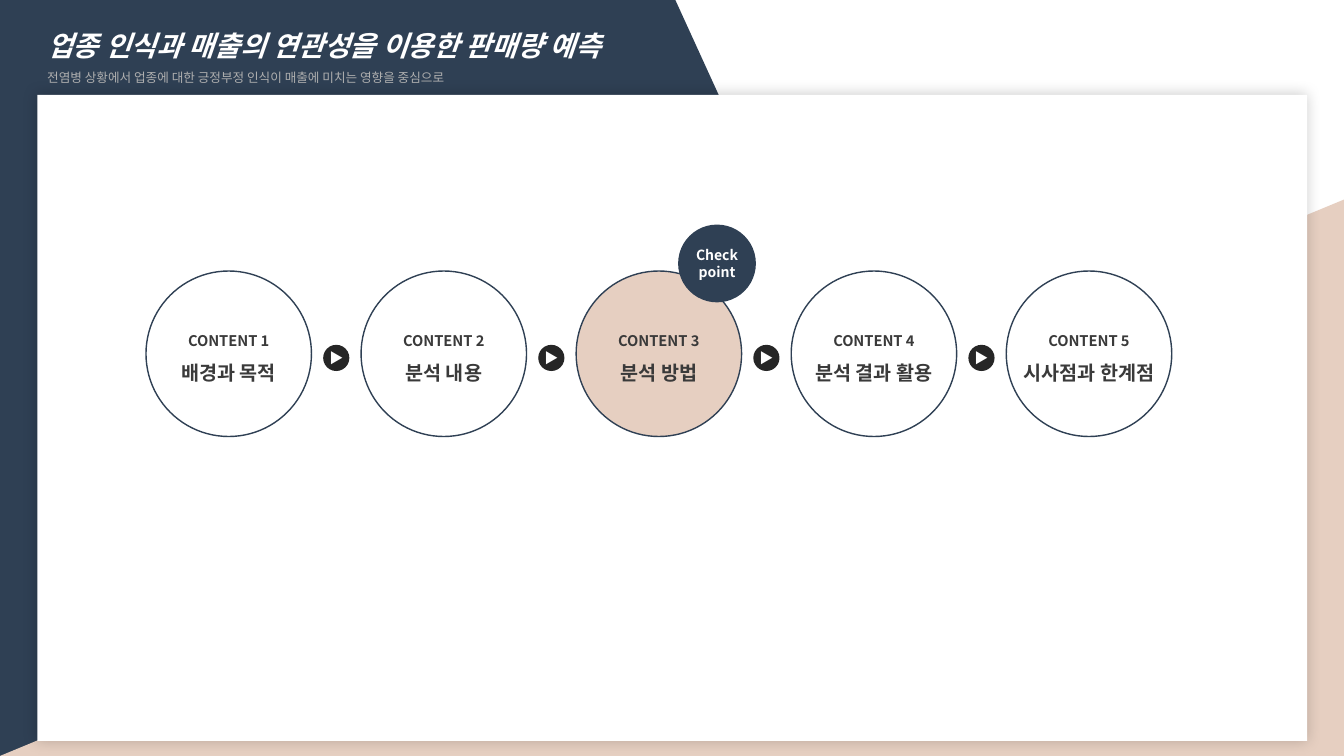
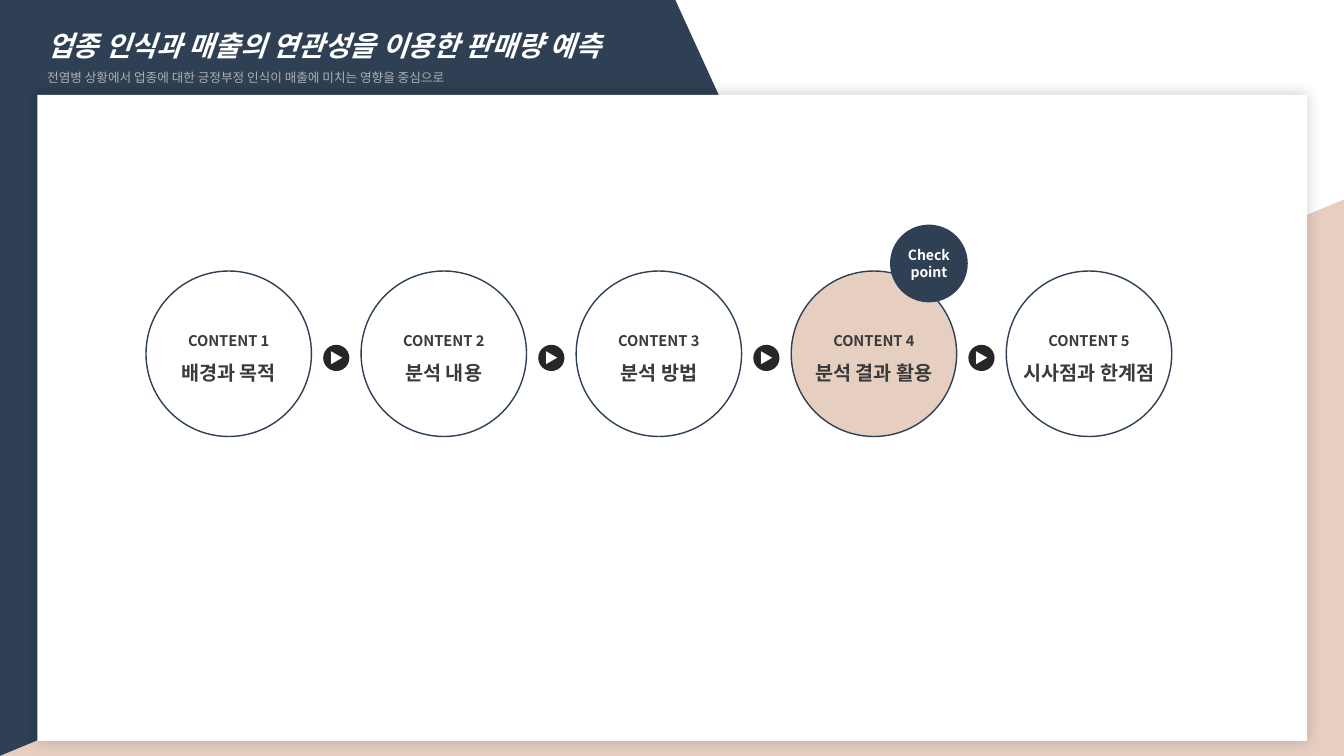
from lxml import etree
from pptx import Presentation
from pptx.dml.color import RGBColor
from pptx.enum.shapes import MSO_SHAPE
from pptx.enum.text import MSO_ANCHOR, MSO_AUTO_SIZE, PP_ALIGN
from pptx.oxml.ns import qn
from pptx.util import Cm, Pt

OVAL = MSO_SHAPE.OVAL
RECTANGLE = MSO_SHAPE.RECTANGLE
RIGHT_TRIANGLE = MSO_SHAPE.RIGHT_TRIANGLE
MIDDLE = MSO_ANCHOR.MIDDLE
CENTER = PP_ALIGN.CENTER
GROW = MSO_AUTO_SIZE.SHAPE_TO_FIT_TEXT

FONT = "Noto Sans CJK KR"
COLORS = {
    "navy": "2F4054",
    "sand": "E6CFC1",
    "white": "FFFFFF",
    "ink": "3A3A3A",
    "black": "262626",
    "gray": "AFAFAF",
    "shadow": "000000",
}

PAGE_WIDTH, PAGE_HEIGHT = 33.87, 19.05
STEP_LEFT, STEP_TOP, STEP_SIZE, STEP_PITCH = 3.68, 6.83, 4.17, 5.42
ARROW_TOP, ARROW_SIZE = 8.69, 0.66
BADGE_TOP, BADGE_SIZE = 5.66, 1.96

TITLE = "업종 인식과 매출의 연관성을 이용한 판매량 예측"
SUBTITLE = "전염병 상황에서 업종에 대한 긍정부정 인식이 매출에 미치는 영향을 중심으로"
STEPS = ["배경과 목적", "분석 내용", "분석 방법", "분석 결과 활용", "시사점과 한계점"]
# Active step of each slide and the distance of its badge from the step's left edge
CHECKPOINTS = [(2, 2.57), (3, 2.49)]


def rgb(color):
    return RGBColor.from_string(COLORS[color])


class DeckBuilder:
    def __init__(self):
        self.deck = Presentation()
        self.deck.slide_width = Cm(PAGE_WIDTH)
        self.deck.slide_height = Cm(PAGE_HEIGHT)
        self.page = None

    def new_page(self):
        self.page = self.deck.slides.add_slide(self.deck.slide_layouts[6])
        self.backdrop()
        self.title()

    def paint(self, shape, fill=None, line=None):
        shape.shadow.inherit = False
        if fill:
            shape.fill.solid()
            shape.fill.fore_color.rgb = rgb(fill)
        else:
            shape.fill.background()
        if line:
            shape.line.color.rgb = rgb(line)
            shape.line.width = Pt(1)
        else:
            shape.line.fill.background()

    def shape(self, kind, left, top, width, height, fill=None, line=None):
        shape = self.page.shapes.add_shape(kind, Cm(left), Cm(top), Cm(width), Cm(height))
        self.paint(shape, fill, line)
        return shape

    def soft_shadow(self, shape):
        """Add an even, blurred shadow on all sides."""
        effects = shape._element.spPr.find(qn("a:effectLst"))
        shadow = etree.SubElement(effects, qn("a:outerShdw"), blurRad=str(Pt(10)),
                                  dist="0", algn="ctr", rotWithShape="0")
        color = etree.SubElement(shadow, qn("a:srgbClr"), val=COLORS["shadow"])
        etree.SubElement(color, qn("a:alpha"), val="20000")

    def set_lines(self, frame, lines, align=None, spacing=None):
        """Fill the frame with lines of (text, size, color, bold, italic)."""
        frame.text = "\n".join(line[0] for line in lines)
        for para, (_, size, color, bold, italic) in zip(frame.paragraphs, lines):
            para.alignment = align
            para.line_spacing = spacing
            for span in para.runs:
                font = span.font
                font.name, font.size = FONT, Pt(size)
                font.bold, font.italic = bold, italic
                font.color.rgb = rgb(color)
                etree.SubElement(span._r.get_or_add_rPr(), qn("a:ea"), typeface=FONT)

    def backdrop(self):
        builder = self.page.shapes.build_freeform(0, 0)
        corners = [(17.02, 0), (22.02, 10.95), (17.02, PAGE_HEIGHT), (0, PAGE_HEIGHT)]
        builder.add_line_segments([(Cm(x), Cm(y)) for x, y in corners])
        self.paint(builder.convert_to_shape(), "navy")

        slope_top = 5.03
        slope = self.shape(RIGHT_TRIANGLE, 0, slope_top, PAGE_WIDTH,
                           PAGE_HEIGHT - slope_top, "sand")
        slope._element.spPr.xfrm.set("flipH", "1")

        panel = self.shape(RECTANGLE, 0.94, 2.39, 32, 16.28, "white")
        self.soft_shadow(panel)

    def title(self):
        box = self.page.shapes.add_textbox(Cm(0.94), Cm(0.18), Cm(24.82), Cm(2.03))
        frame = box.text_frame
        frame.word_wrap = True
        frame.auto_size = GROW
        self.set_lines(frame, [(TITLE, 20, "white", True, True),
                               (SUBTITLE, 9, "gray", False, False)], spacing=1.5)

    def circle(self, left, top, size, lines, fill=None, line=None, spacing=None):
        """Add a circle with centred lines of text."""
        circle = self.shape(OVAL, left, top, size, size, fill, line)
        frame = circle.text_frame
        frame.word_wrap = False
        frame.vertical_anchor = MIDDLE
        self.set_lines(frame, lines, CENTER, spacing)

    def step(self, index, name, active):
        lines = [(f"CONTENT {index + 1}", 10.5, "ink", True, False),
                 (name, 14, "ink", True, False)]
        self.circle(STEP_LEFT + index * STEP_PITCH, STEP_TOP, STEP_SIZE, lines,
                    "sand" if active else None, "navy", 1.5)

    def arrow(self, index):
        """Add the arrow in the middle of the gap before the given step."""
        gap = STEP_PITCH - STEP_SIZE
        left = STEP_LEFT + index * STEP_PITCH - (gap + ARROW_SIZE) / 2
        self.circle(left, ARROW_TOP, ARROW_SIZE,
                    [("▶", 10, "white", False, False)], "black")

    def badge(self, index, offset):
        lines = [(word, 10, "white", True, False) for word in ("Check", "point")]
        self.circle(STEP_LEFT + index * STEP_PITCH + offset, BADGE_TOP, BADGE_SIZE,
                    lines, "navy")


def main():
    builder = DeckBuilder()
    for active, badge_offset in CHECKPOINTS:
        builder.new_page()
        for index, name in enumerate(STEPS):
            if index:
                builder.arrow(index)
            builder.step(index, name, index == active)
        builder.badge(active, badge_offset)
    builder.deck.save("out.pptx")


if __name__ == "__main__":
    main()
